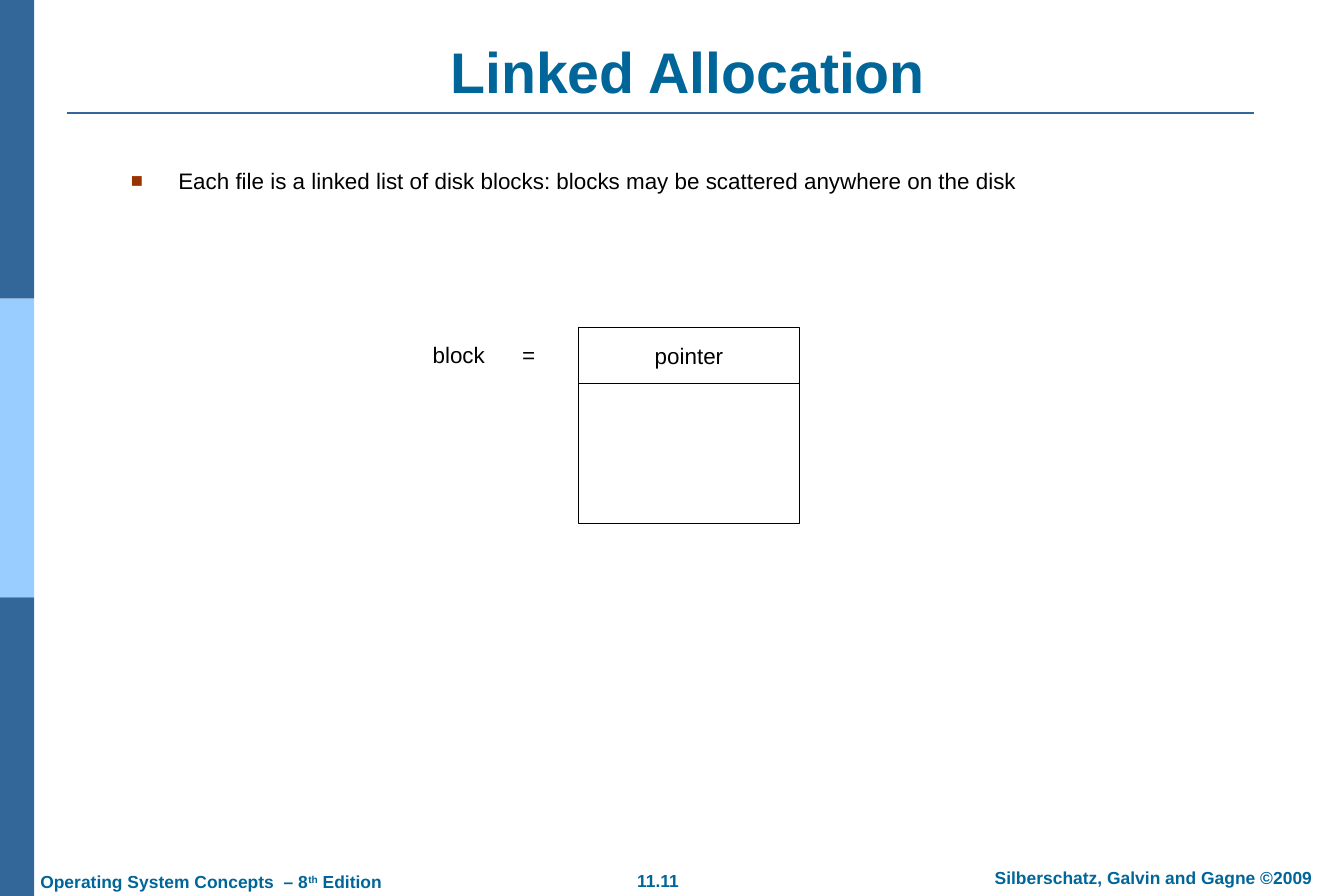
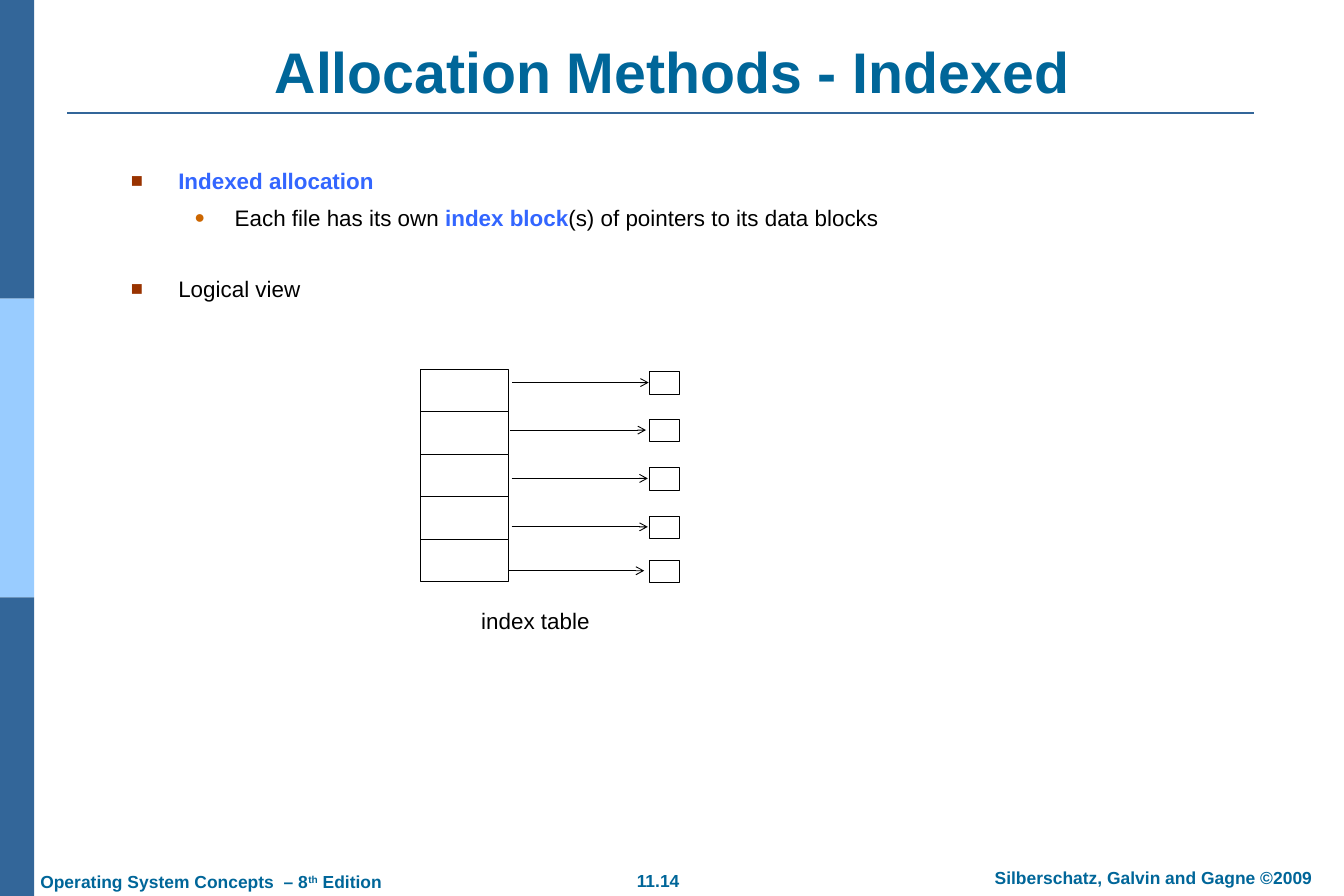
import pptx
import pptx.dml.color
import pptx.enum.shapes
import pptx.enum.text
import pptx.oxml
import pptx.oxml.ns
import pptx.util

Inches = pptx.util.Inches
Pt = pptx.util.Pt
ALIGN = pptx.enum.text.PP_ALIGN
ANCHOR = pptx.enum.text.MSO_ANCHOR
RECTANGLE = pptx.enum.shapes.MSO_SHAPE.RECTANGLE
STRAIGHT = pptx.enum.shapes.MSO_CONNECTOR.STRAIGHT

NAVY, SKY, TEAL = "336699", "99CCFF", "006699"
BLACK, WHITE, KEYWORD = "000000", "FFFFFF", "3366FF"

TITLE = {"size": Pt(46), "bold": True, "color": TEAL}
FOOTER = {"size": Pt(14), "bold": True, "color": TEAL}
PLAIN = {"size": Pt(18), "bold": False, "color": BLACK}
STRONG = {"size": Pt(18), "bold": True, "color": KEYWORD}

INSETS = {
    "margin_left": Inches(0.14), "margin_right": Inches(0.14),
    "margin_top": Inches(0.07), "margin_bottom": Inches(0.07),
    "word_wrap": True, "auto_size": pptx.enum.text.MSO_AUTO_SIZE.NONE,
}

BANDS = [NAVY, SKY, NAVY]
BAND_WIDTH, BAND_HEIGHT = 0.38, 10 / 3
FOOTERS = [
    ((10.65, 9.61, 4.45, 0.38), ALIGN.CENTER, ["Silberschatz, Galvin and Gagne ©2009"]),
    ((0.31, 9.65, 4.13, 0.38), ALIGN.LEFT,
     ["Operating System Concepts  – 8", "th", " Edition"]),
]
NUMBER_AREA = (6.85, 9.64, 0.99, 0.38)

BULLETS = [
    {"char": "■", "color": "993300", "percent": 90, "left": 0.53, "hang": 0.53},
    {"char": "●", "color": "CC6600", "percent": 80, "left": 1.16, "hang": 0.45},
]
GAP, WIDE_GAP = 7.4, 35.5

LINKED = {
    "title": "Linked Allocation",
    "title_area": (1.1, 0.4, 13.15, 0.84),
    "number": "11.11",
    "body_area": (1.32, 1.8, 12.43, 1.09),
    "body": [
        (0, 0, [("Each file is a linked list of disk blocks: blocks may be "
                 "scattered anywhere on the disk", PLAIN)]),
    ],
}
INDEXED = {
    "title": "Allocation Methods - Indexed",
    "title_area": (0.75, 0.4, 13.5, 0.84),
    "number": "11.14",
    "body_area": (1.32, 1.8, 13.5, 6.61),
    "body": [
        (0, 0, [("Indexed allocation", STRONG)]),
        (1, GAP, [("Each file has its own ", PLAIN), ("index block", STRONG),
                  ("(s) of pointers to its data blocks", PLAIN)]),
        (0, WIDE_GAP, [("Logical view", PLAIN)]),
    ],
}

BLOCK_LEFT, BLOCK_TOP, BLOCK_WIDTH = 6.46, 3.65, 2.46
BLOCK_PARTS = [("pointer", 0.63), ("", 1.56)]
BLOCK_LABELS = [("block", (4.67, 3.76, 0.9, 0.4)), ("=", (5.6, 3.76, 0.6, 0.4))]

TABLE_LEFT, TABLE_TOP, ENTRY_WIDTH, ENTRY_HEIGHT = 4.69, 4.12, 0.99, 0.475
DATA_LEFT, DATA_WIDTH, DATA_HEIGHT = 7.25, 0.33, 0.25
ARROW_LENGTH, ARROW_DROP = 1.52, 0.12
ENTRIES = [(4.15, 5.72), (4.68, 5.69), (5.22, 5.71), (5.76, 5.71), (6.25, 5.67)]
TABLE_LABEL = ("index table", (5.22, 6.7, 1.51, 0.45))


def rgb(value):
    return pptx.dml.color.RGBColor.from_string(value)


def assign(target, values):
    for name, value in values.items():
        setattr(target, name, value)


def place(area):
    return [Inches(length) for length in area]


def add_span(para, text, style):
    span = para.add_run()
    span.text = text
    span.font.name = "Arial"
    span.font.color.rgb = rgb(style["color"])
    assign(span.font, {name: style[name] for name in ("size", "bold")})
    return span


def add_box(page, area, anchor=ANCHOR.TOP):
    frame = page.shapes.add_textbox(*place(area)).text_frame
    assign(frame, INSETS)
    frame.vertical_anchor = anchor
    return frame


def add_label(page, text, area):
    para = add_box(page, area, ANCHOR.MIDDLE).paragraphs[0]
    para.alignment = ALIGN.CENTER
    add_span(para, text, PLAIN)


def add_rectangle(page, area, fill, outline=None):
    shape = page.shapes.add_shape(RECTANGLE, *place(area))
    shape.shadow.inherit = False
    shape.fill.solid()
    shape.fill.fore_color.rgb = rgb(fill)
    if outline:
        shape.line.color.rgb = rgb(outline)
        shape.line.width = Pt(0.75)
    else:
        shape.line.fill.background()
    return shape


def add_line(page, start, end, color, width, arrow=False):
    line = page.shapes.add_connector(STRAIGHT, *place(start + end))
    line.line.color.rgb = rgb(color)
    line.line.width = Pt(width)
    if arrow:
        pptx.oxml.ns.qn("a:tailEnd")
        head = line.line._get_or_add_ln().makeelement(
            pptx.oxml.ns.qn("a:tailEnd"), {"type": "arrow"})
        line.line._get_or_add_ln().append(head)
    properties = line._element.spPr
    properties.append(properties.makeelement(pptx.oxml.ns.qn("a:effectLst"), {}))


def add_bullet(para, bullet):
    properties = para._p.get_or_add_pPr()
    properties.set("marL", str(Inches(bullet["left"])))
    properties.set("indent", str(-Inches(bullet["hang"])))
    namespace = pptx.oxml.ns.nsdecls("a")
    for markup in (
        f'<a:buClr {namespace}><a:srgbClr val="{bullet["color"]}"/></a:buClr>',
        f'<a:buSzPct {namespace} val="{bullet["percent"] * 1000}"/>',
        f'<a:buFont {namespace} typeface="Arial"/>',
        f'<a:buChar {namespace} char="{bullet["char"]}"/>',
    ):
        properties.append(pptx.oxml.parse_xml(markup))


def add_body(page, area, items):
    frame = add_box(page, area)
    for index, (level, gap, spans) in enumerate(items):
        para = frame.add_paragraph() if index else frame.paragraphs[0]
        add_bullet(para, BULLETS[level])
        para.space_before = Pt(gap)
        for text, style in spans:
            add_span(para, text, style)


def add_page(deck, content):
    page = deck.slides.add_slide(deck.slide_layouts[5])
    for index, color in enumerate(BANDS):
        add_rectangle(page, (0, index * BAND_HEIGHT, BAND_WIDTH, BAND_HEIGHT), color)
    add_line(page, (0.75, 1.26), (14, 1.26), NAVY, 1.5)
    number = (NUMBER_AREA, ALIGN.CENTER, [content["number"]])
    for area, alignment, texts in [number] + FOOTERS:
        para = add_box(page, area).paragraphs[0]
        para.alignment = alignment
        for text in texts:
            span = add_span(para, text, FOOTER)
            if text == "th":
                span.font._element.set("baseline", "30000")

    title = page.shapes.title
    names = ("left", "top", "width", "height")
    assign(title, dict(zip(names, place(content["title_area"]))))
    assign(title.text_frame, INSETS)
    title.text_frame.vertical_anchor = ANCHOR.BOTTOM
    para = title.text_frame.paragraphs[0]
    para.alignment = ALIGN.CENTER
    add_span(para, content["title"], TITLE)
    add_body(page, content["body_area"], content["body"])
    return page


def draw_block(page):
    top = BLOCK_TOP
    for text, height in BLOCK_PARTS:
        shape = add_rectangle(page, (BLOCK_LEFT, top, BLOCK_WIDTH, height), WHITE, BLACK)
        if text:
            shape.text_frame.vertical_anchor = ANCHOR.MIDDLE
            para = shape.text_frame.paragraphs[0]
            para.alignment = ALIGN.CENTER
            add_span(para, text, PLAIN)
        top += height
    for text, area in BLOCK_LABELS:
        add_label(page, text, area)


def draw_index_table(page):
    for index, (data_top, arrow_left) in enumerate(ENTRIES):
        entry_top = TABLE_TOP + index * ENTRY_HEIGHT
        add_rectangle(page, (TABLE_LEFT, entry_top, ENTRY_WIDTH, ENTRY_HEIGHT), WHITE, BLACK)
    for data_top, arrow_left in ENTRIES:
        add_rectangle(page, (DATA_LEFT, data_top, DATA_WIDTH, DATA_HEIGHT), WHITE, BLACK)
        arrow_top = data_top + ARROW_DROP
        add_line(page, (arrow_left, arrow_top), (arrow_left + ARROW_LENGTH, arrow_top),
                 BLACK, 0.75, arrow=True)
    add_label(page, *TABLE_LABEL)


def main():
    deck = pptx.Presentation()
    deck.slide_width, deck.slide_height = Inches(15), Inches(10)
    draw_block(add_page(deck, LINKED))
    draw_index_table(add_page(deck, INDEXED))
    deck.save("out.pptx")


if __name__ == "__main__":
    main()
